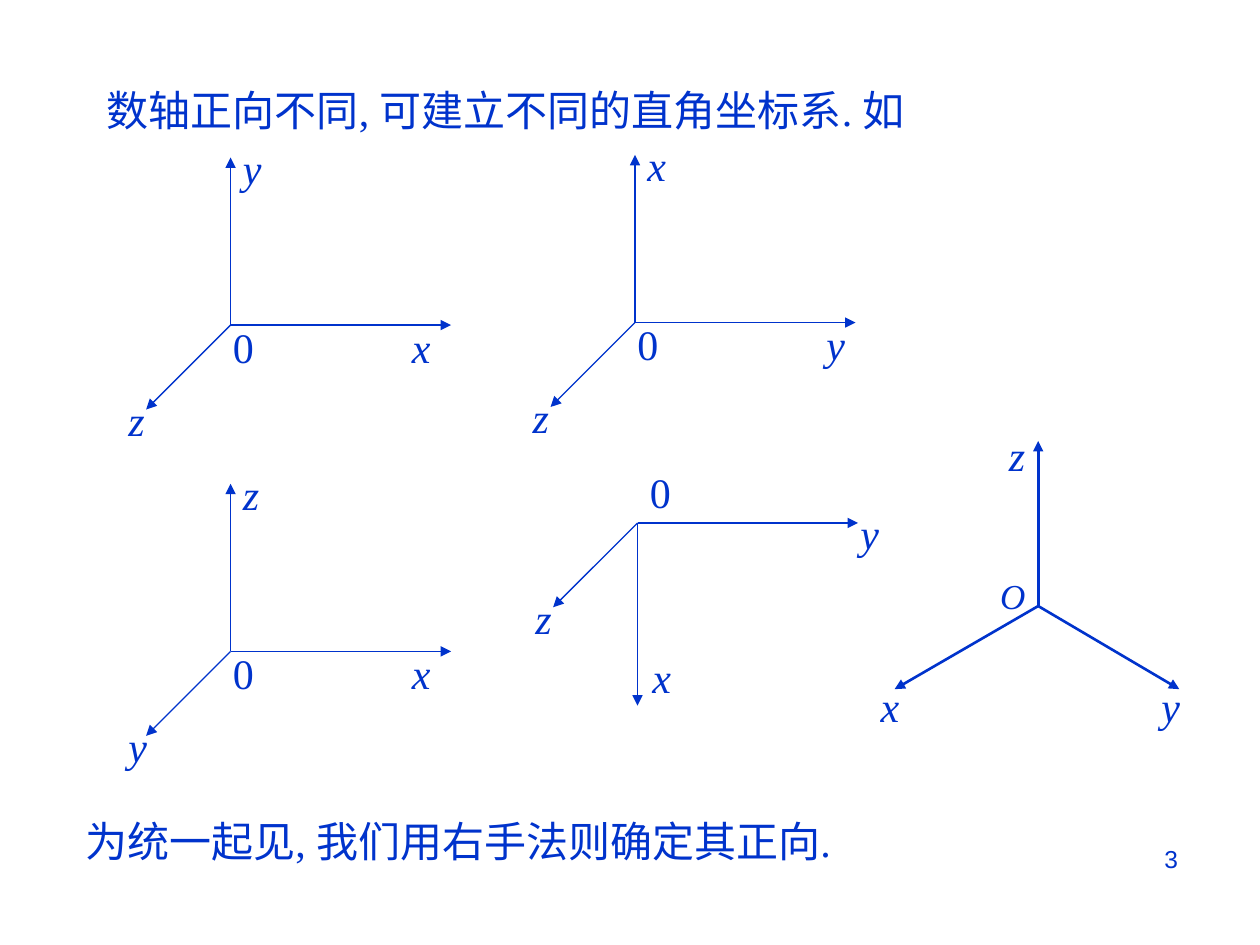
from lxml import etree
from pptx import Presentation
from pptx.dml.color import RGBColor
from pptx.enum.shapes import MSO_CONNECTOR
from pptx.enum.text import PP_ALIGN
from pptx.oxml.ns import qn
from pptx.util import Inches, Pt

COLORS = {"ink": "0033CC"}
SERIF = "Times New Roman"

# Axis tips and label corners are offsets in inches from the origin.
RIGHT, UP, DOWN, FRONT = (1.75, 0), (0, -1.33), (0, 1.45), (-0.67, 0.67)
ZERO_AT, RIGHT_AT, FRONT_AT = (-0.08, -0.08), (1.34, -0.08), (-0.91, 0.5)
UP_AT = (0, -1.5)

SYSTEMS = [
    {"origin": (1.83, 2.58), "tips": [RIGHT, UP, FRONT],
     "labels": [("0", ZERO_AT), ("x", RIGHT_AT), ("y", UP_AT), ("z", FRONT_AT)]},
    {"origin": (5.04, 2.56), "tips": [RIGHT, UP, FRONT],
     "labels": [("0", ZERO_AT), ("y", (1.42, -0.08)), ("x", UP_AT), ("z", FRONT_AT)]},
    {"origin": (1.83, 5.17), "tips": [RIGHT, UP, FRONT],
     "labels": [("0", ZERO_AT), ("x", RIGHT_AT), ("z", UP_AT), ("y", FRONT_AT)]},
    {"origin": (5.06, 4.15), "tips": [RIGHT, DOWN, FRONT],
     "labels": [("0", (0, -0.5)), ("x", (0.02, 0.97)), ("y", (1.67, -0.17)),
                ("z", FRONT_AT)]},
    {"origin": (8.24, 4.81), "tips": [(0, -1.31), (1.12, 0.66), (-1.14, 0.66)],
     "labels": [("O", (-0.4, -0.3)), ("x", (-1.35, 0.54)), ("y", (0.88, 0.54)),
                ("z", (-0.33, -1.45))],
     "weight": 1.5},
]


def add_text(shapes, text, left, top, width, height=0.51, size=24, font=SERIF,
             italic=False):
    box = shapes.add_textbox(Inches(left), Inches(top), Inches(width), Inches(height))
    box.text_frame.word_wrap = True
    para = box.text_frame.paragraphs[0]
    para.text = text
    para.font.size = Pt(size)
    para.font.name = font
    para.font.italic = italic
    para.font.color.rgb = RGBColor.from_string(COLORS["ink"])
    return box


def add_axis(shapes, origin, tip, weight):
    x, y = origin
    axis = shapes.add_connector(MSO_CONNECTOR.STRAIGHT, Inches(x), Inches(y),
                                Inches(x + tip[0]), Inches(y + tip[1]))
    axis.line.color.rgb = RGBColor.from_string(COLORS["ink"])
    axis.line.width = Pt(weight)
    etree.SubElement(axis.line._get_or_add_ln(), qn("a:tailEnd"), type="triangle")
    etree.SubElement(axis._element.spPr, qn("a:effectLst"))


def add_system(page, origin, tips, labels, weight=0.75):
    """Draw one grouped coordinate system: its axes and their letters."""
    shapes = page.shapes.add_group_shape().shapes
    for tip in tips:
        add_axis(shapes, origin, tip, weight)
    for text, (dx, dy) in labels:
        add_text(shapes, text, origin[0] + dx, origin[1] + dy, 0.47,
                 size=20 if text == "O" else 24, italic=text != "0")


def add_page_number(page, number):
    box = add_text(page.shapes, number, 7.17, 6.58, 2.5, 0.52, size=14, font="Arial")
    frame = box.text_frame
    frame.margin_left = frame.margin_right = Inches(0.32)
    frame.margin_top = frame.margin_bottom = Inches(0.16)
    frame.paragraphs[0].alignment = PP_ALIGN.RIGHT


def main():
    deck = Presentation()
    deck.slide_width, deck.slide_height = Inches(10), Inches(7.5)
    page = deck.slides.add_slide(deck.slide_layouts[6])
    add_page_number(page, "3")
    add_text(page.shapes, "数轴正向不同, 可建立不同的直角坐标系. 如", 0.75, 0.62, 7.92)
    for system in SYSTEMS:
        add_system(page, **system)
    add_text(page.shapes, "为统一起见, 我们用右手法则确定其正向.", 0.58, 6.42, 7.92)
    deck.save("out.pptx")


if __name__ == "__main__":
    main()
